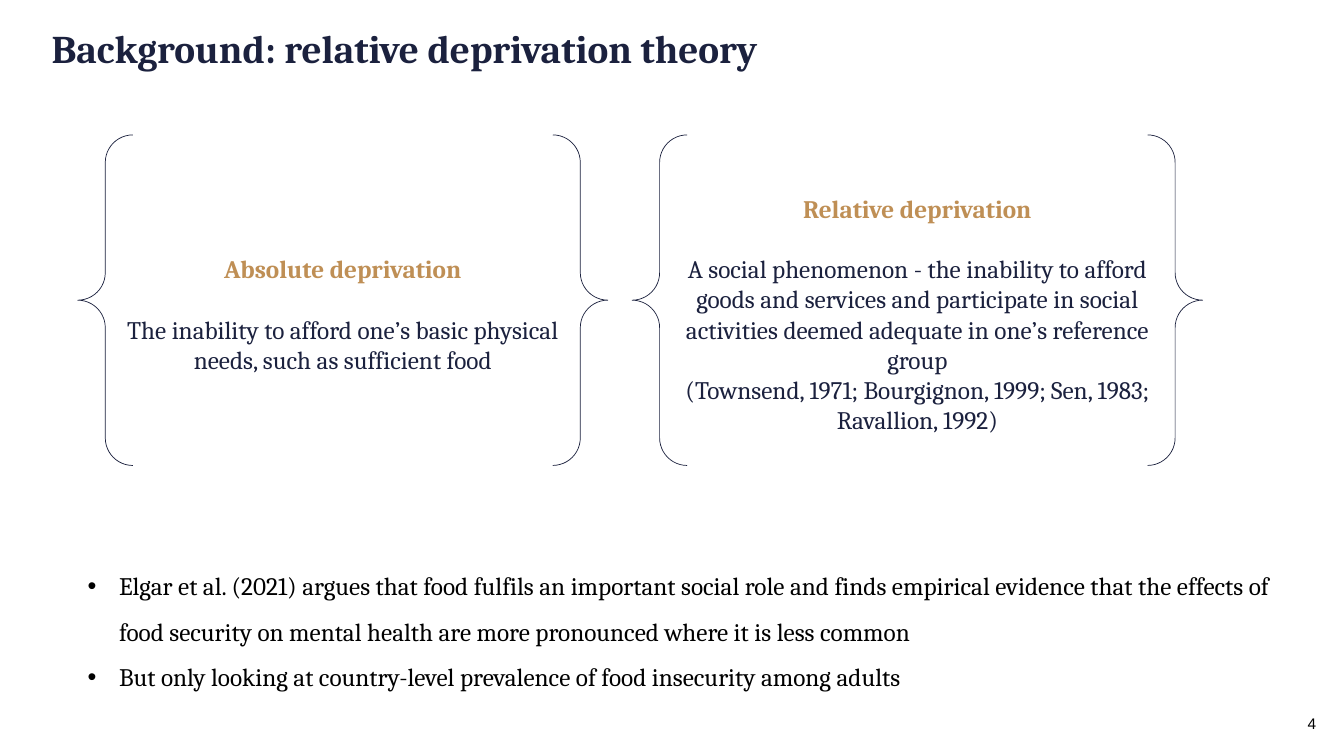
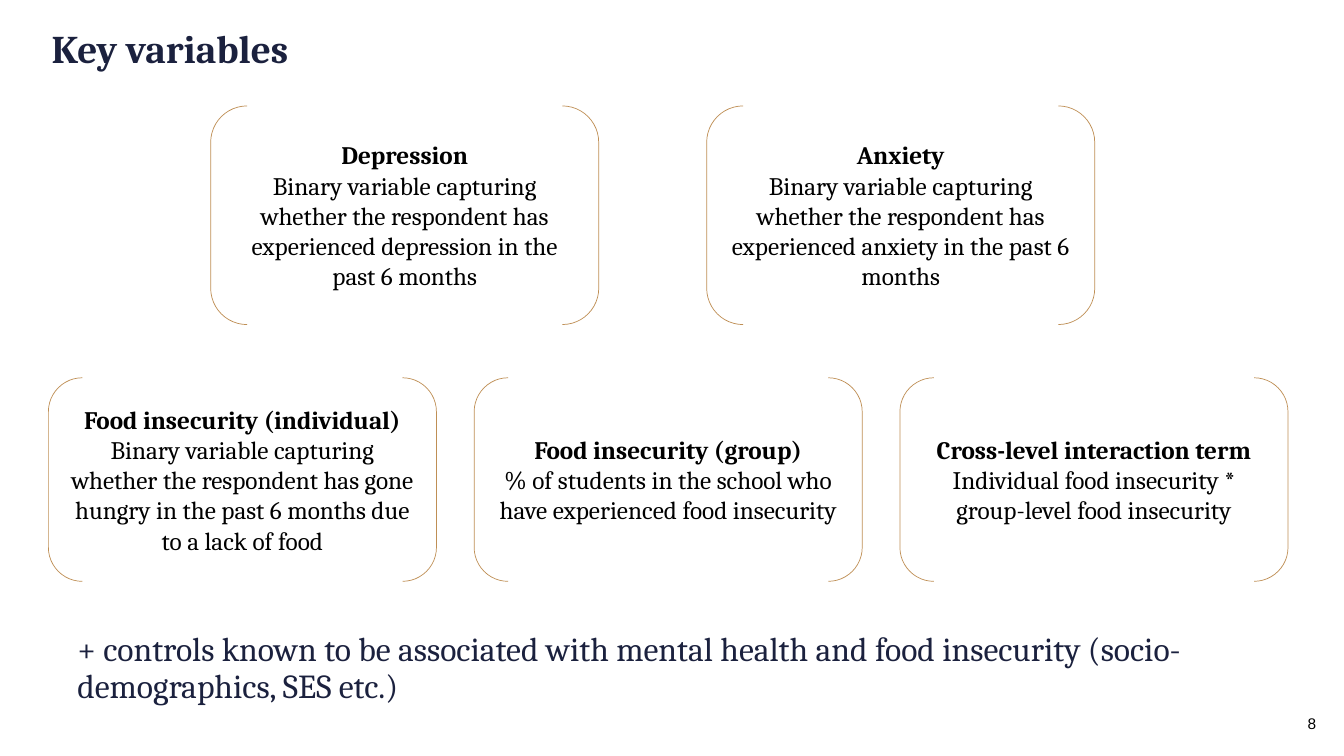
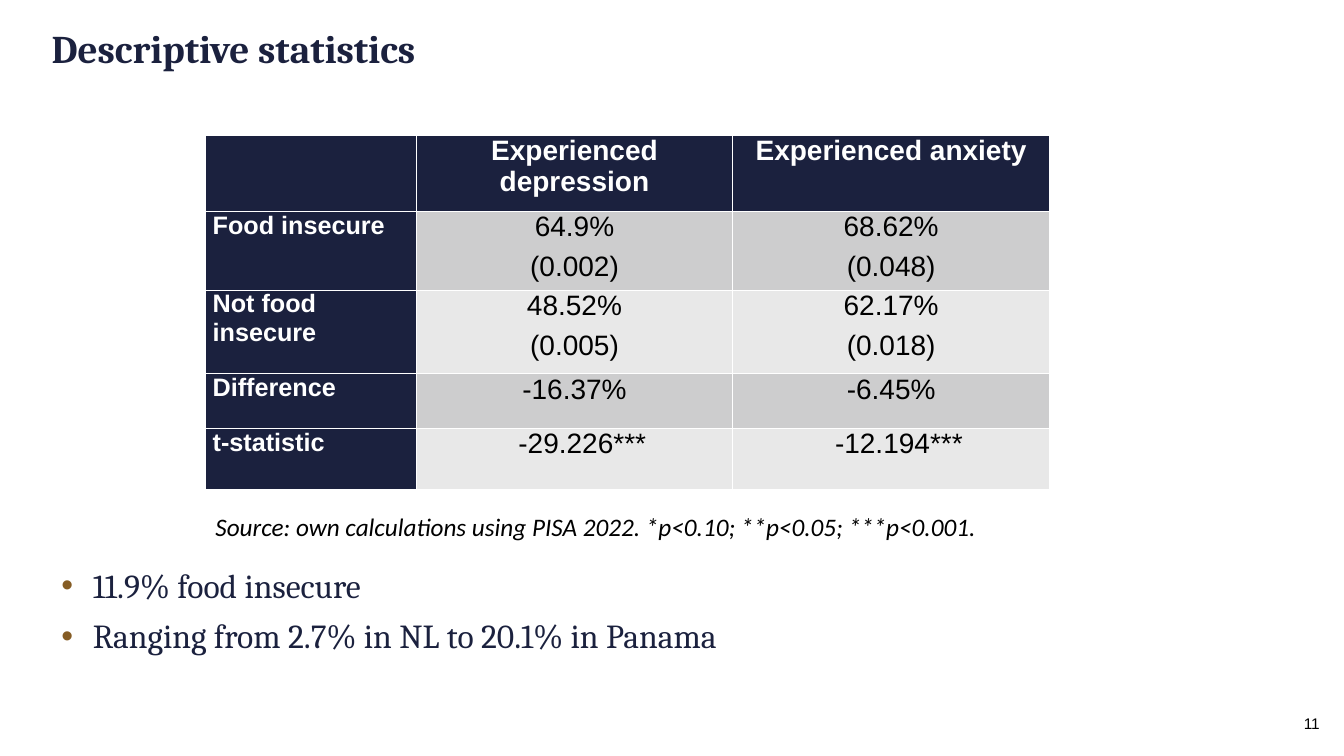
from lxml.etree import SubElement
from pptx import Presentation
from pptx.dml.color import RGBColor
from pptx.enum.shapes import MSO_SHAPE
from pptx.enum.text import MSO_ANCHOR, MSO_AUTO_SIZE, PP_ALIGN
from pptx.oxml.ns import qn
from pptx.util import Cm, Pt

NAVY, GOLD, BROWN = "1B213E", "BF8F55", "855C24"
BLACK, WHITE = "000000", "FFFFFF"
BANDS = ("CDCDCE", "E8E8E8")
SERIF, SANS, NOTE = "Cambria", "Arial", "Calibri"
LEFT, CENTER = PP_ALIGN.LEFT, PP_ALIGN.CENTER


def color(value):
    """Turn a hex string into a colour."""
    return RGBColor.from_string(value)


def lengths(box):
    """Turn numbers in centimetres into lengths."""
    return [Cm(v) for v in box]


def write(tf, text, size=18, font=SERIF, fill=BLACK, bold=False, italic=False,
          align=LEFT, before=0, spacing=1.0, bullet=None):
    """Add one formatted paragraph to a text frame."""
    p = tf.paragraphs[0]
    if p.runs:
        p = tf.add_paragraph()
    p.alignment, p.space_before, p.line_spacing = align, Pt(before), spacing
    r = p.add_run()
    r.text = text
    f = r.font
    f.name, f.size, f.bold, f.italic = font, Pt(size), bold, italic
    f.color.rgb = color(fill)
    if bullet:
        add_bullet(p, bullet)


def add_bullet(p, fill):
    """Give a paragraph a hanging round bullet."""
    pPr = p._p.get_or_add_pPr()
    pPr.set("marL", str(Cm(0.79)))
    pPr.set("indent", str(-Cm(0.79)))
    clr = SubElement(pPr, qn("a:buClr"))
    SubElement(clr, qn("a:srgbClr"), val=fill)
    SubElement(pPr, qn("a:buFont"), typeface=SANS)
    SubElement(pPr, qn("a:buChar"), char="•")


def set_margins(tf, *sides):
    """Set the left, top, right and bottom margins in centimetres."""
    tf.margin_left, tf.margin_top, tf.margin_right, tf.margin_bottom = lengths(sides)


def add_text(slide, box, lines, anchor=MSO_ANCHOR.TOP, **fmt):
    """Add a wrapping text box with one paragraph per line."""
    sp = slide.shapes.add_textbox(*lengths(box))
    tf = sp.text_frame
    tf.word_wrap, tf.vertical_anchor = True, anchor
    for line in lines:
        write(tf, line, **fmt)
    return sp


def add_titled_slide(prs, title, number):
    """Add a slide with the shared title style and page number."""
    slide = prs.slides.add_slide(prs.slide_layouts[5])
    sp = slide.shapes.title
    sp.left, sp.top, sp.width, sp.height = lengths((1.3, 0.61, 29, 2.8))
    tf = sp.text_frame
    tf.word_wrap, tf.auto_size = True, MSO_AUTO_SIZE.NONE
    tf.vertical_anchor = MSO_ANCHOR.TOP
    set_margins(tf, 0, 0, 0, 0)
    write(tf, title, size=28, fill=NAVY, bold=True)
    page = add_text(slide, (32.49, 17.65, 1.14, 1.17), [number],
                    MSO_ANCHOR.MIDDLE, size=11, font=SANS, align=CENTER)
    set_margins(page.text_frame, 0, 0, 0, 0)
    page.fill.solid()
    page.fill.fore_color.rgb = color(WHITE)
    return slide


def add_bracket(slide, kind, box, line, heading, body, heading_fill=BLACK,
                body_fill=BLACK, gap=0):
    """Add a pair of brackets around a heading and its paragraphs."""
    sp = slide.shapes.add_shape(kind, *lengths(box))
    sp.shadow.inherit = False
    sp.fill.background()
    sp.line.color.rgb = color(line)
    sp.line.width = Pt(0.5)
    tf = sp.text_frame
    tf.word_wrap, tf.vertical_anchor = True, MSO_ANCHOR.MIDDLE
    write(tf, heading, fill=heading_fill, bold=True, align=CENTER)
    for i, text in enumerate(body):
        write(tf, text, fill=body_fill, align=CENTER, before=0 if i else gap)


def add_bracket_row(slide, box, step, items):
    """Add equally spaced brackets, starting from the first box."""
    left, top, width, height = box
    for i, (heading, text) in enumerate(items):
        add_bracket(slide, MSO_SHAPE.DOUBLE_BRACKET,
                    (left + i * step, top, width, height), GOLD, heading, [text])


def fill_cell(cell, lines, back, shift=0, **fmt):
    """Fill one table cell with colour and text."""
    cell.fill.solid()
    cell.fill.fore_color.rgb = color(back)
    set_margins(cell, 0.18 + shift, 0, 0.18, 0)
    for line in lines:
        write(cell.text_frame, line, font=SANS, before=6, **fmt)


def add_statistics(slide, box, widths, heights, header, rows):
    """Add a table with a dark header row and first column."""
    table = slide.shapes.add_table(len(heights), len(widths), *lengths(box)).table
    table.horz_banding = False
    for col, width in zip(table.columns, widths):
        col.width = Cm(width)
    for row, height in zip(table.rows, heights):
        row.height = Cm(height)
    label = {"fill": WHITE, "bold": True}
    fill_cell(table.cell(0, 0), [], NAVY)
    for c, text in enumerate(header, 1):
        fill_cell(table.cell(0, c), [text], NAVY, size=20, align=CENTER, **label)
    for i, (name, *values) in enumerate(rows):
        fill_cell(table.cell(i + 1, 0), [name], NAVY, **label)
        for c, lines in enumerate(values, 1):
            shift = 0.39 if lines[0].endswith("*") else 0
            fill_cell(table.cell(i + 1, c), lines, BANDS[i % 2], shift,
                      size=20, align=CENTER)


def build_background(prs):
    """Build the slide on relative deprivation theory."""
    slide = add_titled_slide(prs, "Background: relative deprivation theory", "4")
    braces = [
        (1.96, 13.36, "Absolute deprivation",
         ["The inability to afford one’s basic physical needs, such as sufficient food"]),
        (15.93, 14.38, "Relative deprivation",
         ["A social phenomenon - the inability to afford goods and services and "
          "participate in social activities deemed adequate in one’s reference group",
          "(Townsend, 1971; Bourgignon, 1999; Sen, 1983; Ravallion, 1992)"]),
    ]
    for left, width, heading, body in braces:
        add_bracket(slide, MSO_SHAPE.DOUBLE_BRACE, (left, 3.4, width, 8.33), NAVY,
                    heading, body, heading_fill=GOLD, body_fill=NAVY, gap=21.6)
    add_text(slide, (1.96, 13.87, 31, 3.58), [
        "Elgar et al. (2021) argues that food fulfils an important social role and "
        "finds empirical evidence that the effects of food security on mental health "
        "are more pronounced where it is less common",
        "But only looking at country-level prevalence of food insecurity among adults",
    ], spacing=1.5, bullet=BLACK)


def build_variables(prs):
    """Build the slide on key variables."""
    slide = add_titled_slide(prs, "Key variables", "8")
    outcome = ("Binary variable capturing whether the respondent has experienced "
               "{} in the past 6 months")
    add_bracket_row(slide, (5.31, 2.67, 9.78, 5.51), 12.5, [
        (name, outcome.format(name.lower())) for name in ("Depression", "Anxiety")])
    add_bracket_row(slide, (1.22, 9.52, 9.78, 5.13), 10.73, [
        ("Food insecurity (individual)",
         "Binary variable capturing whether the respondent has gone hungry in the "
         "past 6 months due to a lack of food"),
        ("Food insecurity (group)",
         "% of students in the school who have experienced food insecurity"),
        ("Cross-level interaction term",
         "Individual food insecurity * group-level food insecurity"),
    ])
    add_text(slide, (1.7, 15.82, 30.76, 2.64), [
        "+ controls known to be associated with mental health and food insecurity "
        "(socio-demographics, SES etc.)",
    ], size=24, fill=NAVY, spacing=0.9, before=10)


def build_statistics(prs):
    """Build the slide on descriptive statistics."""
    slide = add_titled_slide(prs, "Descriptive statistics", "11")
    add_statistics(
        slide, (5.18, 3.4, 21.27, 8.94), (5.31, 7.98, 7.98),
        (1.93, 1.98, 2.11, 1.37, 1.55),
        ("Experienced depression", "Experienced anxiety"), [
            ("Food insecure", ["64.9%", "(0.002)"], ["68.62%", "(0.048)"]),
            ("Not food insecure", ["48.52%", "(0.005)"], ["62.17%", "(0.018)"]),
            ("Difference", ["-16.37%"], ["-6.45%"]),
            ("t-statistic", ["-29.226***"], ["-12.194***"]),
        ])
    add_text(slide, (5.18, 12.75, 21.27, 1.02), [
        "Source: own calculations using PISA 2022. *p<0.10; **p<0.05; ***p<0.001.",
    ], MSO_ANCHOR.MIDDLE, font=NOTE, italic=True)
    add_text(slide, (1.3, 14.22, 31.55, 2.87), [
        "11.9% food insecure",
        "Ranging from 2.7% in NL to 20.1% in Panama",
    ], size=24, fill=NAVY, spacing=0.9, before=10, bullet=BROWN)


def main():
    """Build and save the presentation."""
    prs = Presentation()
    prs.slide_width, prs.slide_height = Cm(33.87), Cm(19.05)
    build_background(prs)
    build_variables(prs)
    build_statistics(prs)
    prs.save("out.pptx")


if __name__ == "__main__":
    main()
